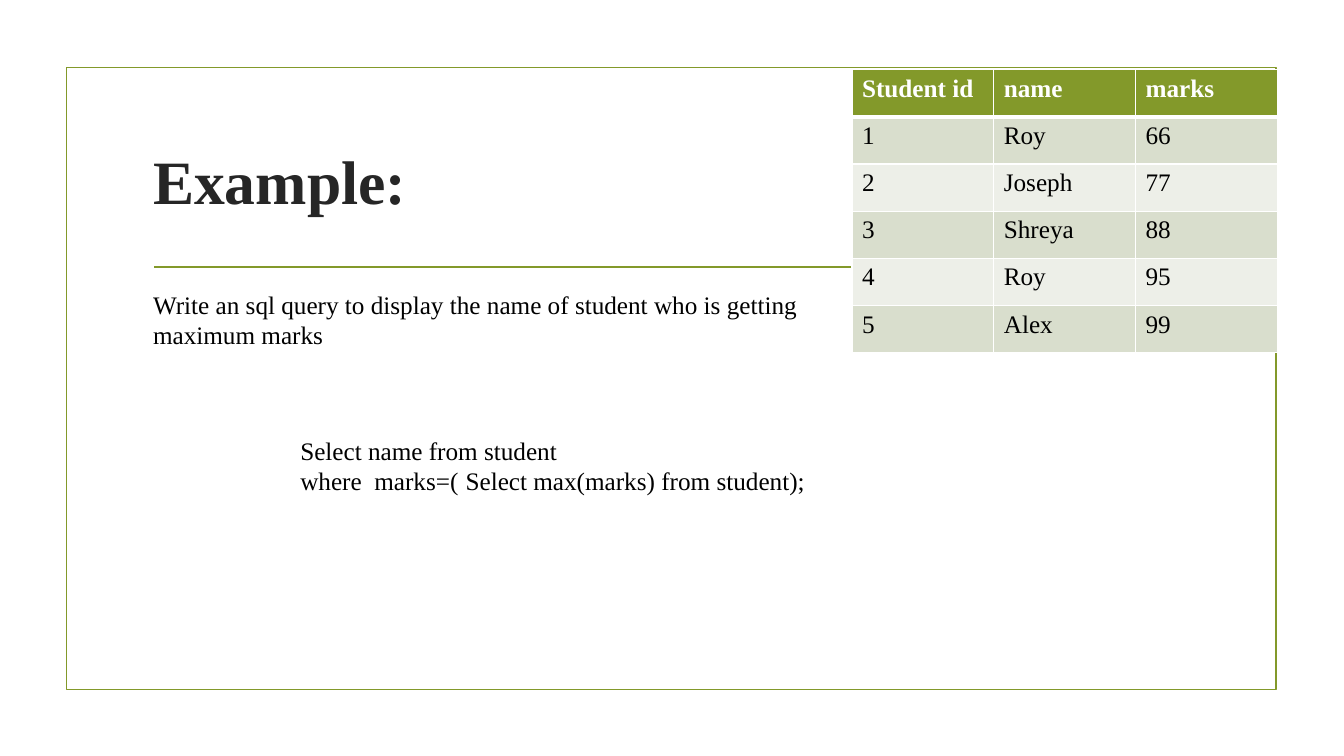
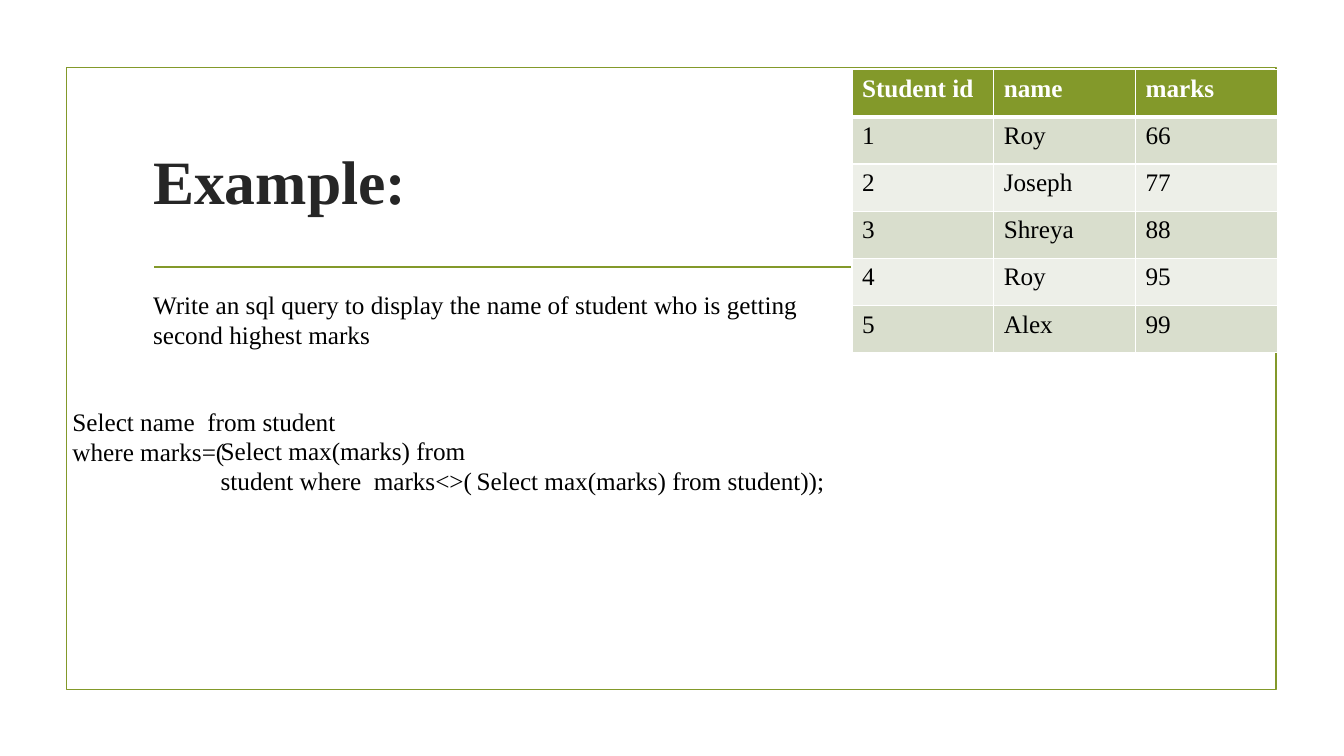
from dataclasses import dataclass

from lxml import etree
from pptx import Presentation
from pptx import util as u
from pptx.dml.color import RGBColor
from pptx.enum import shapes, text
from pptx.oxml.ns import qn


@dataclass(frozen=True)
class Theme:
    font: str = "Times New Roman"
    green: str = "83992A"
    title: str = "262626"
    ink: str = "000000"
    white: str = "FFFFFF"
    bands: tuple = ("D9DECD", "EDEFE8")
    big: int = 44
    body: int = 18
    rule: float = 1.25
    thin: int = 1
    thick: int = 3


LOOK = Theme()
FRAME = (0.66, 0.67, 12, 6.17)
HEAD = (1.42, 1.07, 10.5, 1.43)
GRID = (8.45, 0.69, 4.22, 2.81)
TASK = (1.42, 2.82, 7.03, 0.71)

MARKS = [
    ("Student id", "name", "marks"),
    ("1", "Roy", "66"),
    ("2", "Joseph", "77"),
    ("3", "Shreya", "88"),
    ("4", "Roy", "95"),
    ("5", "Alex", "99"),
]

SLIDES = [
    (
        "Write an sql query to display the name of student who is getting maximum marks",
        [
            ((4.52, 4.57, 5, 0.4), "Select max(marks) from student);"),
            ((2.88, 4.27, 3.29, 0.71), "Select name from student where  marks=("),
        ],
    ),
    (
        "Write an sql query to display the name of student who is getting second highest marks",
        [
            ((4.63, 4.57, 5, 0.4), "Select max(marks) from student));"),
            ((2.09, 4.27, 3.29, 0.71), "Select max(marks) from student where  marks<>("),
            ((0.62, 3.98, 3.12, 0.71), "Select name  from student where marks=("),
        ],
    ),
]


def inch(box):
    return [u.Inches(n) for n in box]


def tint(code):
    return RGBColor.from_string(code)


def add_run(frame, words, size=LOOK.body, color=LOOK.ink, bold=False):
    run = frame.paragraphs[0].add_run()
    run.text = words
    run.font.name = LOOK.font
    run.font.size = u.Pt(size)
    run.font.bold = bold
    run.font.color.rgb = tint(color)


def add_text(slide, box, words):
    frame = slide.shapes.add_textbox(*inch(box)).text_frame
    frame.word_wrap = True
    frame.auto_size = text.MSO_AUTO_SIZE.SHAPE_TO_FIT_TEXT
    add_run(frame, words)


def add_frame(slide, box):
    rect = slide.shapes.add_shape(shapes.MSO_SHAPE.RECTANGLE, *inch(box))
    rect.shadow.inherit = False
    rect.fill.background()
    rect.line.color.rgb = tint(LOOK.green)
    rect.line.width = u.Pt(LOOK.rule)


def add_head(slide, box, words):
    left, top, width, high = box
    ends = (left + 0.11, top + high + 0.15, left + width - 0.11, top + high + 0.15)
    rule = slide.shapes.add_connector(shapes.MSO_CONNECTOR.STRAIGHT, *inch(ends))
    rule.line.color.rgb = tint(LOOK.green)
    rule.line.width = u.Pt(LOOK.rule)
    etree.SubElement(rule.element.spPr, qn("a:effectLst"))
    frame = slide.shapes.add_textbox(*inch(box)).text_frame
    frame.word_wrap = True
    frame.vertical_anchor = text.MSO_ANCHOR.MIDDLE
    add_run(frame, words, LOOK.big, LOOK.title, True)


def add_edge(cell, side, width):
    props = cell._tc.get_or_add_tcPr()
    edge = etree.SubElement(props, qn("a:ln" + side), w=str(u.Pt(width)))
    fill = etree.SubElement(edge, qn("a:solidFill"))
    etree.SubElement(fill, qn("a:srgbClr"), val=LOOK.white)


def add_grid(slide, box, rows):
    count, wide = len(rows), len(rows[0])
    table = slide.shapes.add_table(count, wide, *inch(box)).table
    for col in table.columns:
        col.width = u.Inches(box[2] / wide)
    for r, row in enumerate(rows):
        table.rows[r].height = u.Inches(box[3] / count)
        head = r == 0
        heavy = {0: "B", 1: "T"}.get(r)
        for c, words in enumerate(row):
            cell = table.cell(r, c)
            for side in "LRTB":
                add_edge(cell, side, LOOK.thick if side == heavy else LOOK.thin)
            cell.fill.solid()
            cell.fill.fore_color.rgb = tint(LOOK.green if head else LOOK.bands[(r - 1) % 2])
            color = LOOK.white if head else LOOK.ink
            add_run(cell.text_frame, words, color=color, bold=head)


def add_slide(deck, task, query):
    slide = deck.slides.add_slide(deck.slide_layouts[6])
    add_frame(slide, FRAME)
    add_head(slide, HEAD, "Example:")
    add_grid(slide, GRID, MARKS)
    add_text(slide, TASK, task)
    for box, words in query:
        add_text(slide, box, words)


def main():
    deck = Presentation()
    deck.slide_width, deck.slide_height = inch((13.33, 7.5))
    for task, query in SLIDES:
        add_slide(deck, task, query)
    deck.save("out.pptx")


if __name__ == "__main__":
    main()
